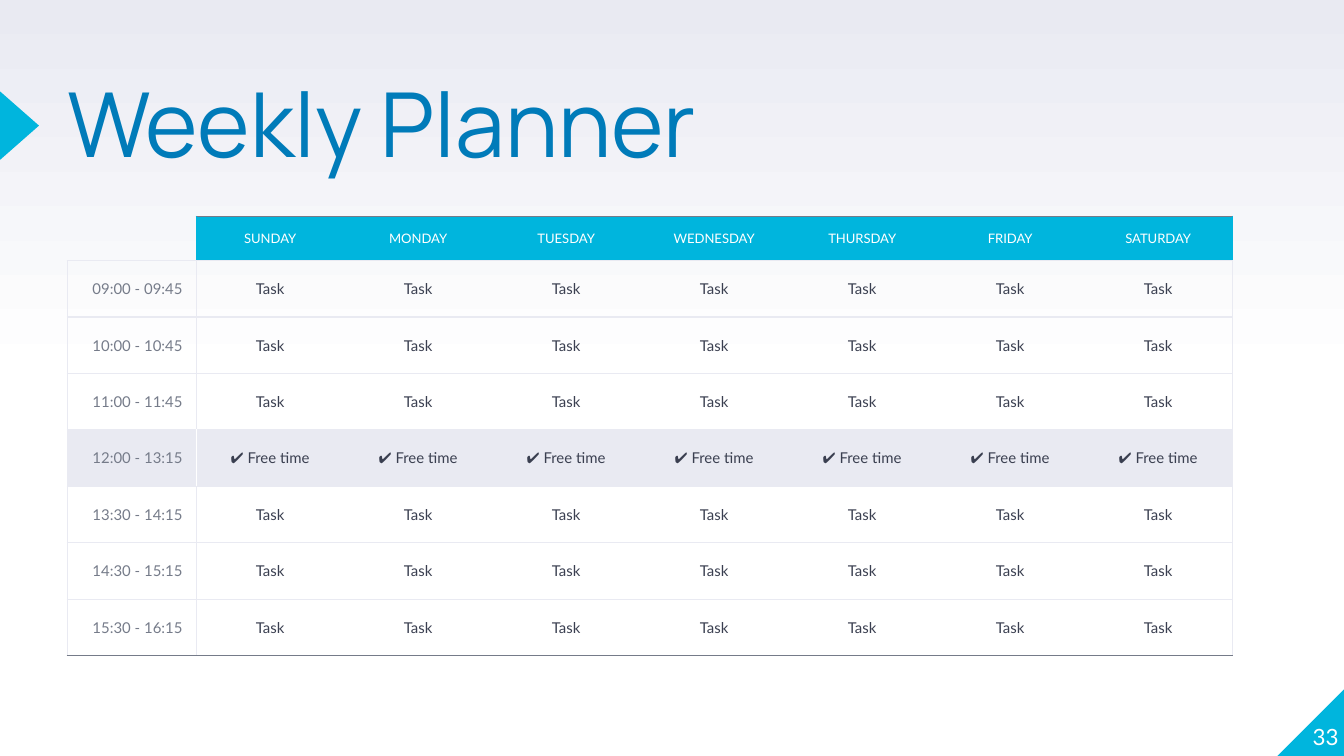
from lxml import etree
from pptx import Presentation
from pptx.dml.color import RGBColor
from pptx.enum.shapes import MSO_SHAPE
from pptx.enum.text import MSO_ANCHOR, PP_ALIGN
from pptx.oxml.ns import qn
from pptx.util import Inches, Pt

LEFT, CENTER, RIGHT = PP_ALIGN.LEFT, PP_ALIGN.CENTER, PP_ALIGN.RIGHT
TOP, MIDDLE, BOTTOM = MSO_ANCHOR.TOP, MSO_ANCHOR.MIDDLE, MSO_ANCHOR.BOTTOM
TRIANGLE, RIGHT_TRIANGLE = MSO_SHAPE.ISOSCELES_TRIANGLE, MSO_SHAPE.RIGHT_TRIANGLE

CYAN, BLUE, WHITE = "00B5DD", "007BB9", "FFFFFF"
LAVENDER, GRAY, DARK = "E9EAF2", "757B89", "3A3F50"

NO_STYLE = "{2D5ABB26-0587-4C30-8999-92F81FD0307C}"
DAYS = ["SUNDAY", "MONDAY", "TUESDAY", "WEDNESDAY", "THURSDAY", "FRIDAY", "SATURDAY"]
TIMES = ["09:00 - 09:45", "10:00 - 10:45", "11:00 - 11:45", "12:00 - 13:15",
         "13:30 - 14:15", "14:30 - 15:15", "15:30 - 16:15"]
FREE_TIME = "12:00 - 13:15"

SLIDE_WIDTH = 10
SLIDE_HEIGHT = SLIDE_WIDTH * 9 / 16
TABLE_WIDTH, TABLE_HEIGHT = 8.67, 3.27
TIME_WIDTH, HEADER_HEIGHT = 0.96, 0.33

HEADER_FORMAT = {"size": Pt(7), "color": WHITE, "align": CENTER}
TIME_FORMAT = {"size": Pt(8), "color": GRAY, "align": RIGHT}
TASK_FORMAT = {"size": Pt(8), "color": DARK, "align": CENTER}


def rgb(value):
    return RGBColor.from_string(value)


def write_text(paragraph, text, size, color, align, name="Lato"):
    paragraph.alignment = align
    run = paragraph.add_run()
    run.text = text
    for attribute, value in {"size": size, "name": name}.items():
        setattr(run.font, attribute, value)
    run.font.color.rgb = rgb(color)


def set_background(slide):
    fill = slide.background.fill
    fill.gradient()
    fill.gradient_angle = 90
    stops = [(0.5, WHITE), (1, LAVENDER)]
    for stop, (position, color) in zip(fill.gradient_stops, stops):
        stop.position = position
        stop.color.rgb = rgb(color)


def add_accent(slide, kind, left, top, width, height):
    shape = slide.shapes.add_shape(kind, Inches(left), Inches(top), Inches(width), Inches(height))
    shape.shadow.inherit = False
    shape.fill.solid()
    shape.fill.fore_color.rgb = rgb(CYAN)
    shape.line.fill.background()
    return shape


def add_label(slide, text, left, top, width, height, anchor, **text_format):
    box = slide.shapes.add_textbox(Inches(left), Inches(top), Inches(width), Inches(height))
    frame_format = {"word_wrap": True, "vertical_anchor": anchor, "margin_left": 0,
                    "margin_top": 0, "margin_right": 0, "margin_bottom": 0}
    for attribute, value in frame_format.items():
        setattr(box.text_frame, attribute, value)
    paragraph = box.text_frame.paragraphs[0]
    write_text(paragraph, text, **text_format)
    return paragraph


def set_borders(cell, borders):
    properties = cell._tc.get_or_add_tcPr()
    for side in "LRTB":
        line = etree.SubElement(properties, qn("a:ln" + side), w=str(Pt(0.75)))
        color = borders.get(side)
        if color:
            solid = etree.SubElement(line, qn("a:solidFill"))
            etree.SubElement(solid, qn("a:srgbClr"), val=color)
        else:
            etree.SubElement(line, qn("a:noFill"))


def format_cell(cell, text, text_format, fill, borders):
    set_borders(cell, borders)
    if fill:
        cell.fill.solid()
        cell.fill.fore_color.rgb = rgb(fill)
    else:
        cell.fill.background()
    cell.vertical_anchor = MIDDLE
    margin = Inches(0.1) if text else 0
    for side in ("left", "top", "right", "bottom"):
        setattr(cell, "margin_" + side, margin)
    if text:
        write_text(cell.text_frame.paragraphs[0], text, **text_format)


def add_planner(slide):
    frame = slide.shapes.add_table(len(TIMES) + 1, len(DAYS) + 1, Inches(0.5), Inches(1.61),
                                   Inches(TABLE_WIDTH), Inches(TABLE_HEIGHT))
    table = frame.table
    table.first_row = table.horz_banding = False
    table._tbl.tblPr.find(qn("a:tableStyleId")).text = NO_STYLE

    # Column and row sizes
    day_width = (TABLE_WIDTH - TIME_WIDTH) / len(DAYS)
    for index, column in enumerate(table.columns):
        column.width = Inches(day_width if index else TIME_WIDTH)
    slot_height = (TABLE_HEIGHT - HEADER_HEIGHT) / len(TIMES)
    for index, row in enumerate(table.rows):
        row.height = Inches(slot_height if index else HEADER_HEIGHT)

    # Day header
    format_cell(table.cell(0, 0), "", None, None, {"R": CYAN, "B": LAVENDER})
    for column, day in enumerate(DAYS, start=1):
        borders = {"T": GRAY, "B": LAVENDER}
        if column == 1:
            borders["L"] = CYAN
        if column == len(DAYS):
            borders["R"] = CYAN
        format_cell(table.cell(0, column), day, HEADER_FORMAT, CYAN, borders)

    # Time slots
    for row, time in enumerate(TIMES, start=1):
        is_free = time == FREE_TIME
        fill = LAVENDER if is_free else None
        divider = WHITE if is_free else LAVENDER
        edges = {"T": LAVENDER, "B": GRAY if row == len(TIMES) else LAVENDER}
        format_cell(table.cell(row, 0), time, TIME_FORMAT, fill,
                    {**edges, "L": LAVENDER, "R": divider})
        for column in range(1, len(DAYS) + 1):
            borders = dict(edges)
            if column == 1:
                borders["L"] = divider
            if column == len(DAYS):
                borders["R"] = LAVENDER
            format_cell(table.cell(row, column), "✔ Free time" if is_free else "Task",
                        TASK_FORMAT, fill, borders)


def main():
    presentation = Presentation()
    presentation.slide_width = Inches(SLIDE_WIDTH)
    presentation.slide_height = Inches(SLIDE_HEIGHT)
    slide = presentation.slides.add_slide(presentation.slide_layouts[6])
    set_background(slide)

    # Corner and title marker
    corner = add_accent(slide, RIGHT_TRIANGLE, 9.5, 5.12, 0.51, 0.51)
    corner.element.spPr.get_or_add_xfrm().set("flipH", "1")
    marker = add_accent(slide, TRIANGLE, -0.11, 0.79, 0.51, 0.29)
    marker.rotation = 90

    # Title and page number
    title = add_label(slide, "Weekly Planner", 0.5, 0.66, 6.17, 1.18, TOP,
                      size=Pt(48), color=BLUE, align=LEFT, name="Manrope")
    title.line_spacing = 0.8
    add_label(slide, "33", 9.46, 5.07, 0.5, 0.51, BOTTOM,
              size=Pt(12), color=WHITE, align=RIGHT)

    add_planner(slide)
    presentation.save("out.pptx")


if __name__ == "__main__":
    main()
